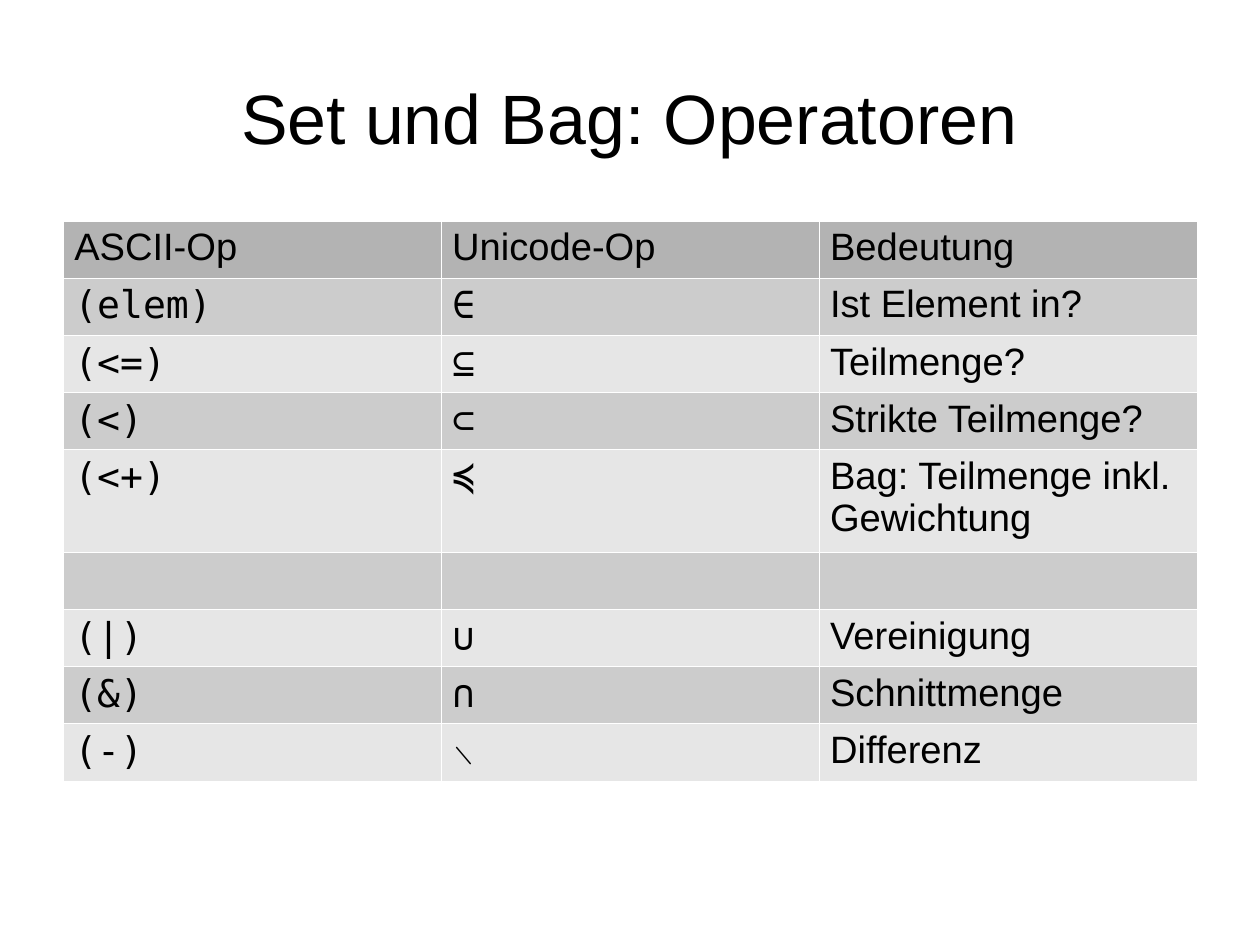
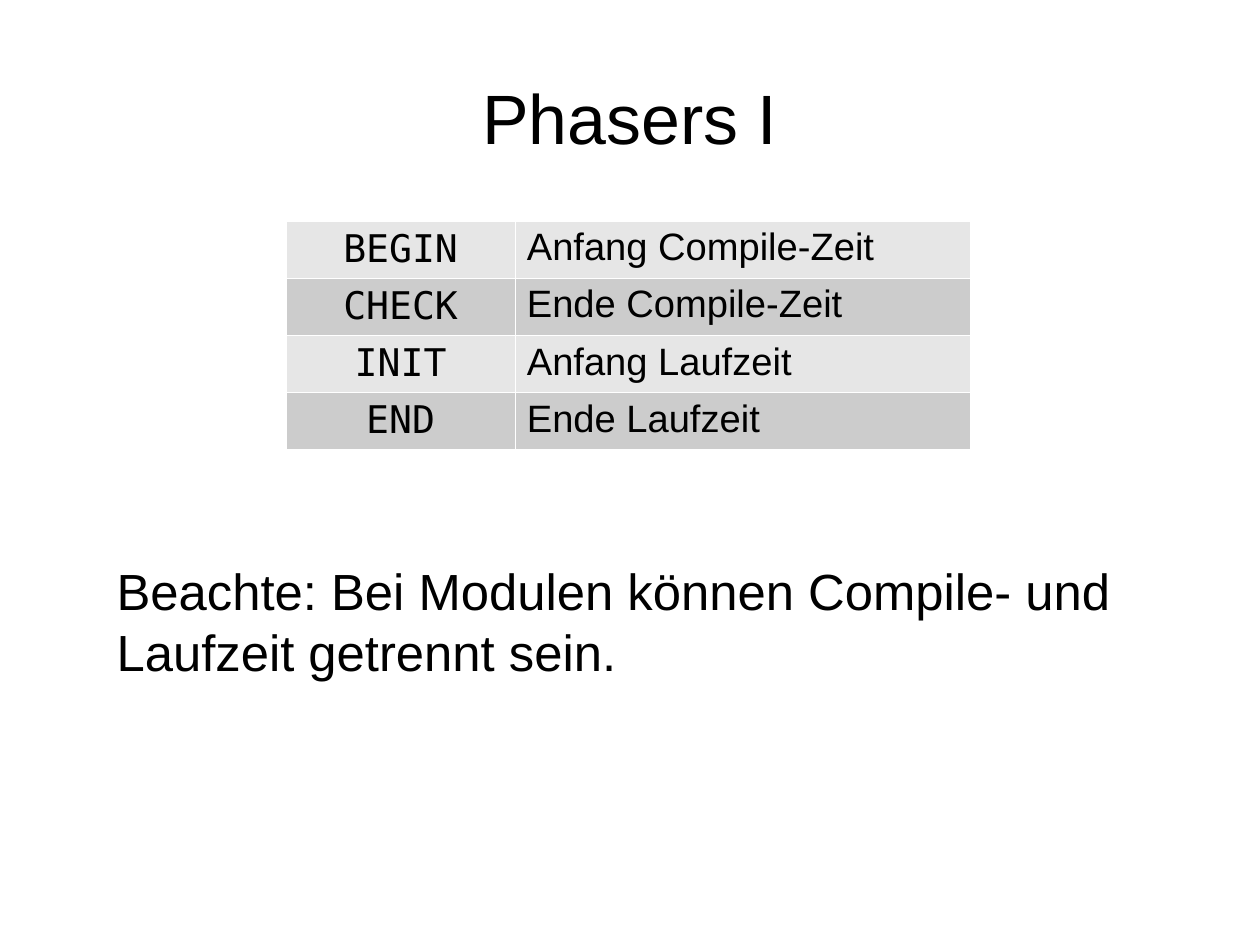
from lxml import etree
from pptx import Presentation
from pptx.dml.color import RGBColor
from pptx.enum.text import MSO_ANCHOR, MSO_AUTO_SIZE, PP_ALIGN
from pptx.oxml.ns import qn
from pptx.util import Inches, Pt

LEFT, CENTER = PP_ALIGN.LEFT, PP_ALIGN.CENTER
TOP, MIDDLE = MSO_ANCHOR.TOP, MSO_ANCHOR.MIDDLE
NO_AUTOFIT = MSO_AUTO_SIZE.NONE

BLACK = RGBColor(0x00, 0x00, 0x00)
HEADER_GRAY = RGBColor(0xB3, 0xB3, 0xB3)
DARK_BAND = RGBColor(0xCC, 0xCC, 0xCC)
LIGHT_BAND = RGBColor(0xE6, 0xE6, 0xE6)
BORDER = "FFFFFF"
BORDER_WIDTH = Pt(0.06)

SANS, MONO = "Arial", "DejaVu Sans Mono"
TITLE_ONLY = 5
CM_PER_INCH = 2.54
SLIDE_W, SLIDE_H = 28 / CM_PER_INCH, 21 / CM_PER_INCH
MARGIN, CONTENT_W = 0.55, 9.92
TABLE_TOP, ROW_H, TALL_ROW_H = 1.93, 0.5, 0.9

OPERATORS = [
    ("ASCII-Op", "Unicode-Op", "Bedeutung"),
    ("(elem)", "∈", "Ist Element in?"),
    ("(<=)", "⊆", "Teilmenge?"),
    ("(<)", "⊂", "Strikte Teilmenge?"),
    ("(<+)", "≼", "Bag: Teilmenge inkl. Gewichtung"),
    ("", "", ""),
    ("(|)", "∪", "Vereinigung"),
    ("(&)", "∩", "Schnittmenge"),
    ("(-)", "∖", "Differenz"),
]
PHASERS = [
    ("BEGIN", "Anfang Compile-Zeit"),
    ("CHECK", "Ende Compile-Zeit"),
    ("INIT", "Anfang Laufzeit"),
    ("END", "Ende Laufzeit"),
]
NOTICE = "Beachte: Bei Modulen können Compile- und Laufzeit getrennt sein."


def write(frame, text, size=24, font=SANS, align=LEFT):
    paragraph = frame.paragraphs[0]
    paragraph.alignment = align
    run = paragraph.add_run()
    run.text = text
    run.font.size = Pt(size)
    run.font.name = font
    run.font.bold = False
    run.font.color.rgb = BLACK
    # Mathematical symbols may use the East Asian or complex font slot
    for slot in ("a:ea", "a:cs"):
        etree.SubElement(run.font._element, qn(slot), typeface=font)


def clear_insets(frame):
    frame.margin_left = frame.margin_right = Inches(0)
    frame.margin_top = frame.margin_bottom = Inches(0)


def set_borders(cell):
    properties = cell._tc.get_or_add_tcPr()
    for position, side in enumerate(("a:lnL", "a:lnR", "a:lnT", "a:lnB")):
        line = etree.Element(qn(side), w=str(int(BORDER_WIDTH)))
        fill = etree.SubElement(line, qn("a:solidFill"))
        etree.SubElement(fill, qn("a:srgbClr"), val=BORDER)
        properties.insert(position, line)


def add_titled_slide(deck, text):
    slide = deck.slides.add_slide(deck.slide_layouts[TITLE_ONLY])
    title = slide.shapes.title
    title.left, title.top = Inches(MARGIN), Inches(0.33)
    title.width, title.height = Inches(CONTENT_W), Inches(1.38)
    frame = title.text_frame
    frame.auto_size = NO_AUTOFIT
    frame.vertical_anchor = MIDDLE
    clear_insets(frame)
    write(frame, text, size=44, align=CENTER)
    return slide


def add_banded_table(slide, rows, left, top, widths, heights,
                     header=False, code_align=LEFT, code_anchor=TOP):
    """All columns but the last hold code; row bands alternate."""
    table = slide.shapes.add_table(
        len(rows), len(widths), Inches(left), Inches(top),
        Inches(sum(widths)), Inches(sum(heights))).table
    table.first_row = table.horz_banding = False
    for column, width in zip(table.columns, widths):
        column.width = Inches(width)
    for r, (values, height) in enumerate(zip(rows, heights)):
        table.rows[r].height = Inches(height)
        is_header = header and r == 0
        band = HEADER_GRAY if is_header else (LIGHT_BAND, DARK_BAND)[r % 2]
        for c, value in enumerate(values):
            cell = table.cell(r, c)
            cell.fill.solid()
            cell.fill.fore_color.rgb = band
            set_borders(cell)
            is_code = c < len(widths) - 1 and not is_header
            cell.vertical_anchor = code_anchor if is_code else TOP
            if value:
                write(cell.text_frame, value, font=MONO if is_code else SANS,
                      align=code_align if is_code else LEFT)


def add_notice(slide, text, left, top, width, height):
    box = slide.shapes.add_textbox(
        Inches(left), Inches(top), Inches(width), Inches(height))
    frame = box.text_frame
    frame.word_wrap = True
    clear_insets(frame)
    frame.margin_left = Inches(0.47)
    write(frame, text, size=32)


def build_operators(deck):
    slide = add_titled_slide(deck, "Set und Bag: Operatoren")
    heights = [TALL_ROW_H if "Gewichtung" in meaning else ROW_H
               for _, _, meaning in OPERATORS]
    add_banded_table(slide, OPERATORS, MARGIN, TABLE_TOP,
                     [CONTENT_W / 3] * 3, heights, header=True)


def build_phasers(deck):
    slide = add_titled_slide(deck, "Phasers I")
    add_banded_table(slide, PHASERS, 2.5, TABLE_TOP, [2.01, 3.98],
                     [ROW_H] * len(PHASERS),
                     code_align=CENTER, code_anchor=MIDDLE)
    add_notice(slide, NOTICE, MARGIN, 4.9, CONTENT_W, 1.83)


deck = Presentation()
deck.slide_width = Inches(SLIDE_W)
deck.slide_height = Inches(SLIDE_H)
build_operators(deck)
build_phasers(deck)
deck.save("out.pptx")
